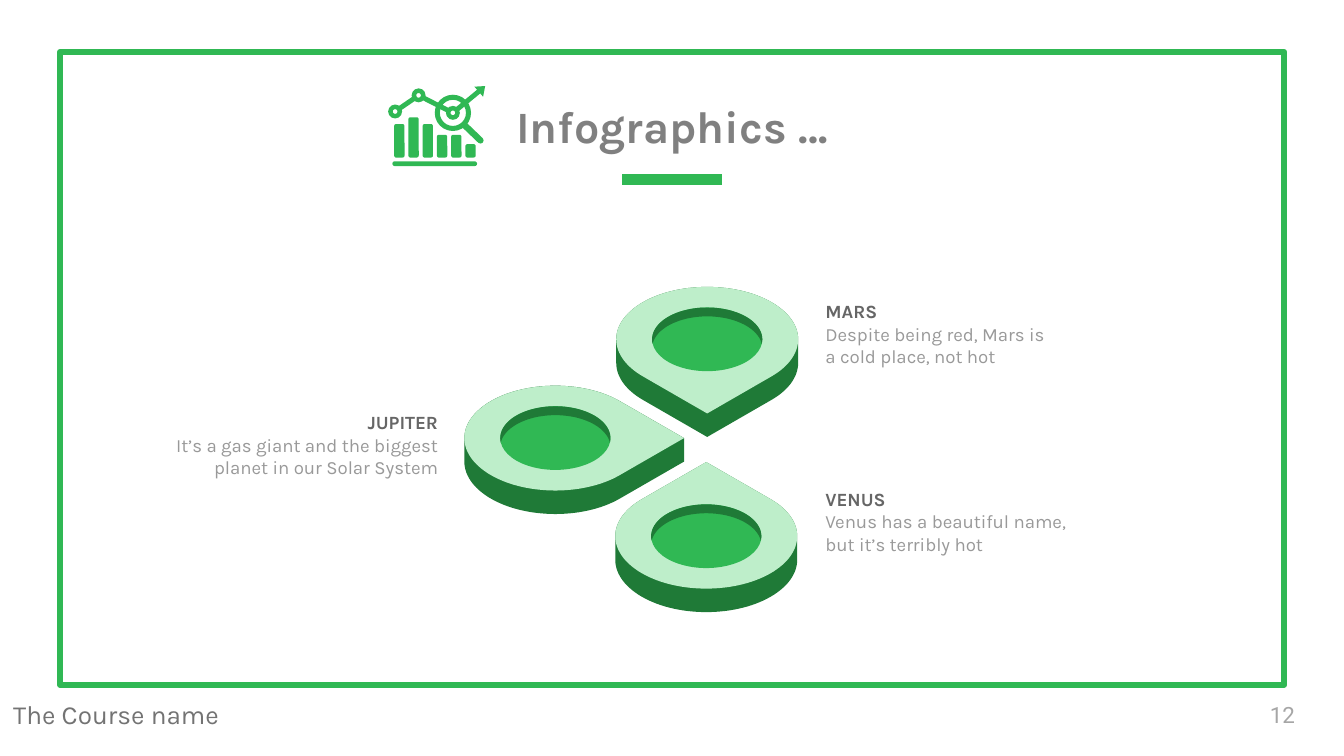
import math

from pptx import Presentation
from pptx import util as u
from pptx.dml.color import RGBColor
from pptx.enum import shapes, text
from pptx.oxml.ns import qn
from lxml import etree

GREEN, DARK, PALE = "30B854", "1F7A37", "BEEECA"
KIND = shapes.MSO_SHAPE
LEFT, CENTER, RIGHT = text.PP_ALIGN.LEFT, text.PP_ALIGN.CENTER, text.PP_ALIGN.RIGHT
TOP, MIDDLE, BOTTOM = text.MSO_ANCHOR.TOP, text.MSO_ANCHOR.MIDDLE, text.MSO_ANCHOR.BOTTOM

presentation = Presentation()
presentation.slide_width = u.Inches(10)
presentation.slide_height = presentation.slide_width * 9 // 16
slide = presentation.slides.add_slide(presentation.slide_layouts[5])
CELL = presentation.slide_width / 100  # square grid, 100 columns wide


def grid(*lengths):
    return [round(length * CELL) for length in lengths]


def color(value):
    return RGBColor.from_string(value)


def paint(shape, fill):
    shape.shadow.inherit = False
    shape.fill.solid()
    shape.fill.fore_color.rgb = color(fill)
    shape.line.fill.background()
    return shape


def preset(kind, box, fill=GREEN, adjustment=None):
    shape = paint(slide.shapes.add_shape(kind, *grid(*box)), fill)
    if adjustment is not None:
        shape.adjustments[0] = adjustment
    return shape


def polygon(points, fill):
    corners = [grid(*point) for point in points]
    builder = slide.shapes.build_freeform(*corners[0], scale=1.0)
    builder.add_line_segments(corners[1:], close=True)
    return paint(builder.convert_to_shape(), fill)


def stroke(start, end, width, cap="flat"):
    line = slide.shapes.add_connector(shapes.MSO_CONNECTOR.STRAIGHT, *grid(*start, *end))
    line.line.color.rgb = color(GREEN)
    line.line.width = u.Pt(width)
    line.line._get_or_add_ln().set("cap", cap)
    etree.SubElement(line._element.spPr, qn("a:effectLst"))


def write(shape, box, lines, align=LEFT, anchor=TOP, margin=0.1):
    """Fill a text shape; each line is (text, font, size, colour, bold)."""
    shape.left, shape.top, shape.width, shape.height = grid(*box)
    frame = shape.text_frame
    frame.word_wrap = True
    frame.auto_size = text.MSO_AUTO_SIZE.NONE
    frame.vertical_anchor = anchor
    frame.margin_left = frame.margin_right = u.Inches(0.1)
    frame.margin_top = frame.margin_bottom = u.Inches(margin)
    for index, (words, name, size, tint, bold) in enumerate(lines):
        paragraph = frame.add_paragraph() if index else frame.paragraphs[0]
        paragraph.text, paragraph.alignment = words, align
        font = paragraph.font
        font.name, font.size, font.bold = name, u.Pt(size), bold
        font.color.rgb = color(tint)


def text_box(box, *arguments, **options):
    write(slide.shapes.add_textbox(*grid(*box)), box, *arguments, **options)


def page_frame():
    border = preset(KIND.RECTANGLE, (4.46, 3.86, 91.1, 47.1))
    border.fill.background()
    border.line.color.rgb = color(GREEN)
    border.line.width = u.Pt(3)
    text_box((0, 51.5, 25.5, 3.4), [("The Course name", "Karla", 14, "737373", False)], margin=0.05)
    text_box((93.5, 51.05, 6, 4.3), [("12", "Roboto", 12, "A6A6A6", False)], anchor=MIDDLE)


def heading():
    write(slide.shapes.title, (0, 2.36, 100, 10),
          [("Infographics …", "Karla", 24, "808080", True)], CENTER, BOTTOM)
    stroke((46.3, 13.36), (53.7, 13.36), 6)


def chart_icon(left, top):
    """Bars, a trend line and a magnifier, 7.2 columns by 6 rows."""
    def at(x, y):
        return left + x, top + y

    def ring(x, y, radius, thickness):
        preset(KIND.DONUT, (*at(x - radius, y - radius), 2 * radius, 2 * radius),
               adjustment=thickness)

    nodes = [(0.5, 1.9), (2.25, 0.7), (4.8, 2.0)]
    for start, end in zip(nodes, nodes[1:] + [(7.1, 0.1)]):
        run, rise = end[0] - start[0], end[1] - start[1]
        gap = 0.4 / math.hypot(run, rise)
        stroke(at(start[0] + run * gap, start[1] + rise * gap),
               at(end[0] - run * gap, end[1] - rise * gap), 2.6)
    for node in nodes:
        ring(*node, 0.52, 0.33)
    ring(*nodes[-1], 1.35, 0.14)
    stroke(at(5.7, 2.95), at(6.85, 4.05), 3.4, "rnd")
    polygon([at(6.4, 0.05), at(7.2, 0), at(7.05, 0.8)], GREEN)
    for index, height in enumerate([2.5, 3, 2.5, 1.7, 1.7, 1]):
        preset(KIND.ROUNDED_RECTANGLE, (*at(0.43 + 1.06 * index, 5.33 - height), 0.77, height),
               adjustment=0.2)
    preset(KIND.ROUNDED_RECTANGLE, (*at(0.3, 5.6), 6.3, 0.36), adjustment=0.5)


def arc(center, radii, start, end, step):
    angles = [math.radians(angle) for angle in range(start, end + step, step)]
    return [(center[0] + radii[0] * math.cos(angle), center[1] + radii[1] * math.sin(angle))
            for angle in angles]


def pin(x, y, tip):
    """Raised teardrop around (x, y) pointing at tip degrees, clockwise from right."""
    radii, hole, depth, drop = (6.77, 3.9), (4.1, 2.37), 1.75, 0.66
    reach = [radius * math.sqrt(2) for radius in radii]
    top = arc((x, y), reach, tip, tip, 1) + arc((x, y), radii, tip + 45, tip + 315, 3)

    first = min(range(len(top)), key=lambda index: top[index][0])
    ordered = top[first:] + top[:first]
    last = max(range(len(ordered)), key=lambda index: ordered[index][0])
    lowered = [(px, py + depth) for px, py in ordered[last:] + ordered[:1]]
    polygon(ordered[:last + 1] + lowered, DARK)
    polygon(top, PALE)

    preset(KIND.OVAL, (x - hole[0], y - hole[1], 2 * hole[0], 2 * hole[1]))
    rim = arc((x, y), hole, 172, 368, 4)
    floor = arc((x, y + drop), hole, 188, 352, 4)
    polygon(rim + floor[::-1], DARK)


def label(box, name, description, align=LEFT):
    text_box(box, [(name, "Karla", 10, "666666", True),
                   (description, "Karla", 10, "999999", False)], align)


page_frame()
heading()
chart_icon(28.9, 6.4)
pin(52.62, 25.25, 90)
pin(41.32, 32.6, 0)
pin(52.55, 39.9, 270)
label((10.87, 29.6, 22.7, 7.7), "JUPITER",
      "It’s a gas giant and the biggest planet in our Solar System", RIGHT)
label((60.43, 21.33, 19.1, 8.2), "MARS", "Despite being red, Mars is a cold place, not hot")
label((60.43, 35.3, 20.1, 11.2), "VENUS", "Venus has a beautiful name, but it’s terribly hot")
presentation.save("out.pptx")
